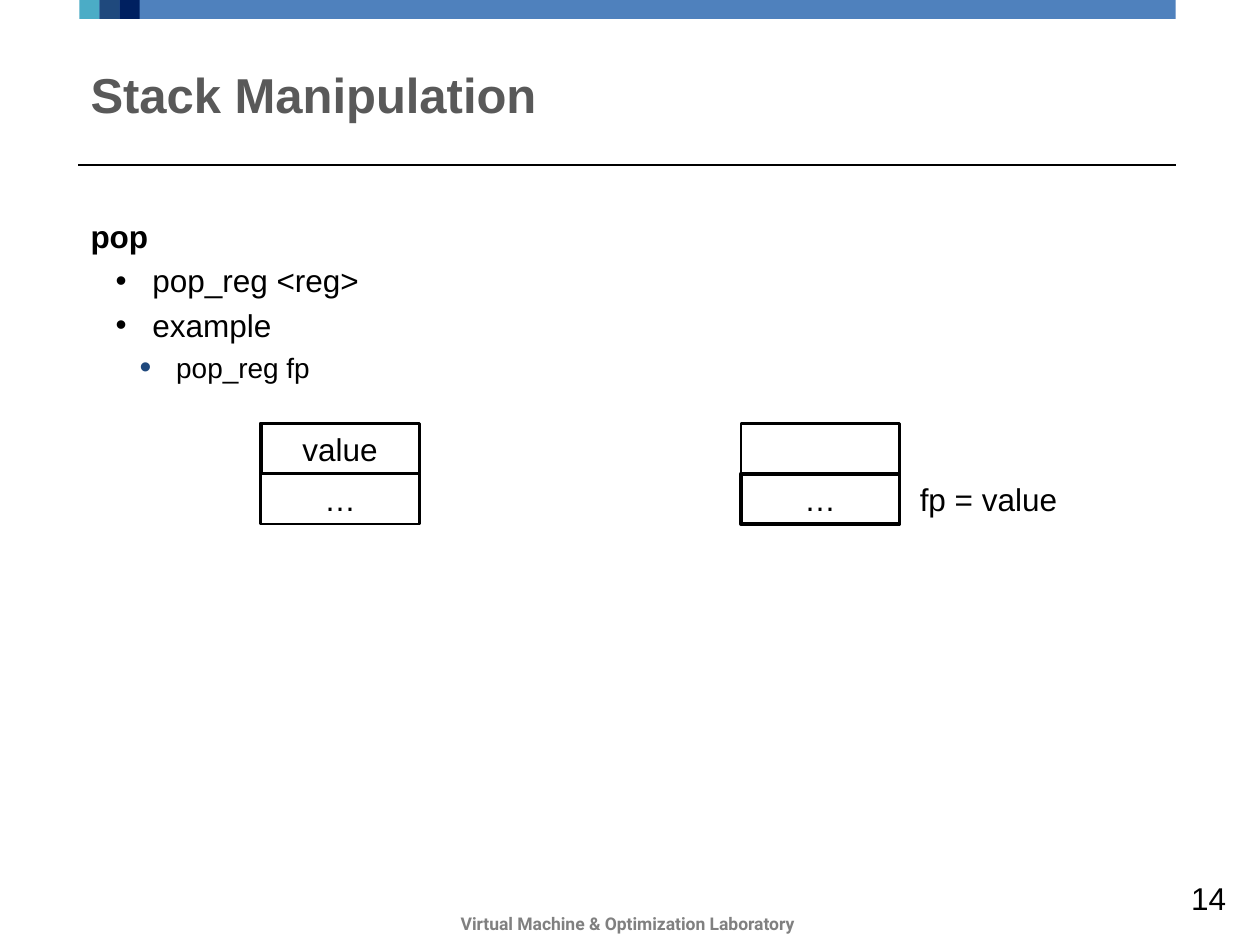
from lxml.etree import SubElement
from pptx import Presentation
from pptx.dml.color import RGBColor as Color
from pptx.enum.shapes import MSO_CONNECTOR as Connector, MSO_SHAPE as Shape
from pptx.enum.text import MSO_ANCHOR as Anchor, PP_ALIGN as Align
from pptx.oxml.ns import qn
from pptx.util import Inches, Pt

BLACK = Color(0x00, 0x00, 0x00)
WHITE = Color(0xFF, 0xFF, 0xFF)
BLUE = Color(0x4F, 0x81, 0xBD)
TEAL = Color(0x4B, 0xAC, 0xC6)
NAVY = Color(0x1F, 0x49, 0x7D)
DARK_NAVY = Color(0x00, 0x20, 0x60)
TITLE_GRAY = Color(0x59, 0x59, 0x59)
FOOTER_GRAY = Color(0x80, 0x80, 0x80)

WIDTH, HEIGHT = Inches(10), Inches(7.5)
LEFT, CONTENT_WIDTH = 6.2, 87.1
BAND_TOP, BAND_HEIGHT, TILE_WIDTH = -0.13, 2.13, 1.6
CELL_WIDTH, CELL_HEIGHT, STACK_TOP = 12.6, 5.33, 44.8


def across(percent):
    return round(WIDTH * percent / 100)


def down(percent):
    return round(HEIGHT * percent / 100)


def area(left, top, width, height):
    return across(left), down(top), across(width), down(height)


def write(paragraph, text, size=18, color=BLACK, bold=False, font="Arial",
          align=Align.LEFT, before=0):
    paragraph.alignment = align
    paragraph.space_before = Pt(before)
    run = paragraph.add_run()
    run.text = text
    run.font.name = font
    run.font.size = Pt(size)
    run.font.bold = bold
    run.font.color.rgb = color


def add_frame(slide, bounds, anchor=Anchor.TOP, wrap=True):
    frame = slide.shapes.add_textbox(*area(*bounds)).text_frame
    frame.word_wrap = wrap
    frame.vertical_anchor = anchor
    return frame


def add_box(slide, bounds, fill, text="", border=0):
    box = slide.shapes.add_shape(Shape.RECTANGLE, *area(*bounds))
    box.shadow.inherit = False
    box.fill.solid()
    box.fill.fore_color.rgb = fill
    if border:
        box.line.color.rgb = BLACK
        box.line.width = Pt(border)
    else:
        box.line.fill.background()
    if text:
        box.text_frame.vertical_anchor = Anchor.TOP
        write(box.text_frame.paragraphs[0], text, align=Align.CENTER)


def add_rule(slide, top):
    rule = slide.shapes.add_connector(
        Connector.STRAIGHT, across(LEFT), down(top),
        across(LEFT + CONTENT_WIDTH), down(top))
    rule.line.color.rgb = BLACK
    rule.line.width = Pt(0.75)
    SubElement(rule._element.spPr, qn("a:effectLst"))


def add_bullet(paragraph, indent, color=None, scale=None):
    properties = paragraph._p.get_or_add_pPr()
    properties.set("marL", str(Inches(indent)))
    properties.set("indent", str(Inches(-0.29)))
    if color is not None:
        holder = SubElement(properties, qn("a:buClr"))
        SubElement(holder, qn("a:srgbClr"), val=str(color))
    if scale:
        SubElement(properties, qn("a:buSzPct"), val=str(scale * 1000))
    SubElement(properties, qn("a:buFont"), typeface="Arial")
    SubElement(properties, qn("a:buChar"), char="•")


def add_band(slide):
    add_box(slide, (6.5, BAND_TOP, 86.8, BAND_HEIGHT), BLUE)
    for column, color in enumerate((TEAL, NAVY, DARK_NAVY)):
        left = 6.3 + column * TILE_WIDTH
        add_box(slide, (left, BAND_TOP, TILE_WIDTH, BAND_HEIGHT), color)


def add_instruction(slide):
    frame = add_frame(slide, (LEFT, 22.27, CONTENT_WIDTH, 71.07))
    heading = frame.paragraphs[0]
    write(heading, "pop", bold=True, before=4)
    for text, size, bullet in (
        ("pop_reg <reg>", 18, {"indent": 0.49}),
        ("example", 18, {"indent": 0.49}),
        ("pop_reg fp", 16, {"indent": 0.68, "color": NAVY, "scale": 120}),
    ):
        item = frame.add_paragraph()
        item.level = 2 if size == 16 else 1
        write(item, text, size=size, before=size * 0.22)
        add_bullet(item, **bullet)


def add_stack(slide, left, cells):
    for row, text, border in cells:
        top = STACK_TOP + row * CELL_HEIGHT
        add_box(slide, (left, top, CELL_WIDTH, CELL_HEIGHT), WHITE, text, border)


def main():
    deck = Presentation()
    deck.slide_width, deck.slide_height = WIDTH, HEIGHT
    slide = deck.slides.add_slide(deck.slide_layouts[6])

    number = add_frame(slide, (93.3, 92.4, 5, 5.33), Anchor.MIDDLE, wrap=False)
    write(number.paragraphs[0], "14", align=Align.RIGHT)
    add_band(slide)
    add_rule(slide, 17.47)
    footer = add_frame(slide, (29.3, 96, 41, 3.6))
    write(footer.paragraphs[0], "Virtual Machine & Optimization Laboratory",
          size=10, color=FOOTER_GRAY, bold=True, font="Roboto",
          align=Align.CENTER)

    add_instruction(slide)
    title = add_frame(slide, (LEFT, 4.93, CONTENT_WIDTH, 10), Anchor.MIDDLE)
    write(title.paragraphs[0], "Stack Manipulation", size=28,
          color=TITLE_GRAY, bold=True)

    add_box(slide, (71.4, STACK_TOP + CELL_HEIGHT, 14.1, CELL_HEIGHT),
            WHITE, "fp = value")
    add_stack(slide, 20.7, ((1, "…", 1.5), (0, "value", 2)))
    add_stack(slide, 58.8, ((0, "", 1.5), (1, "…", 2)))
    deck.save("out.pptx")


main()
